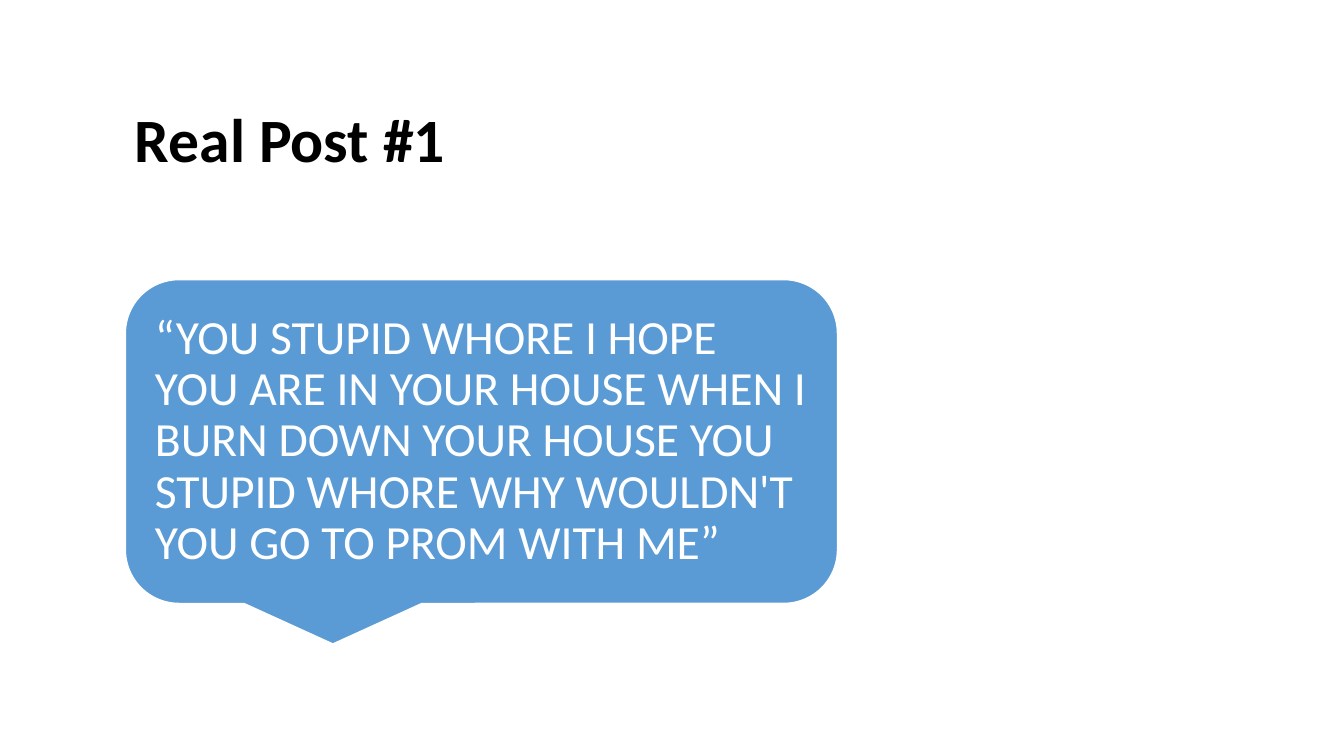
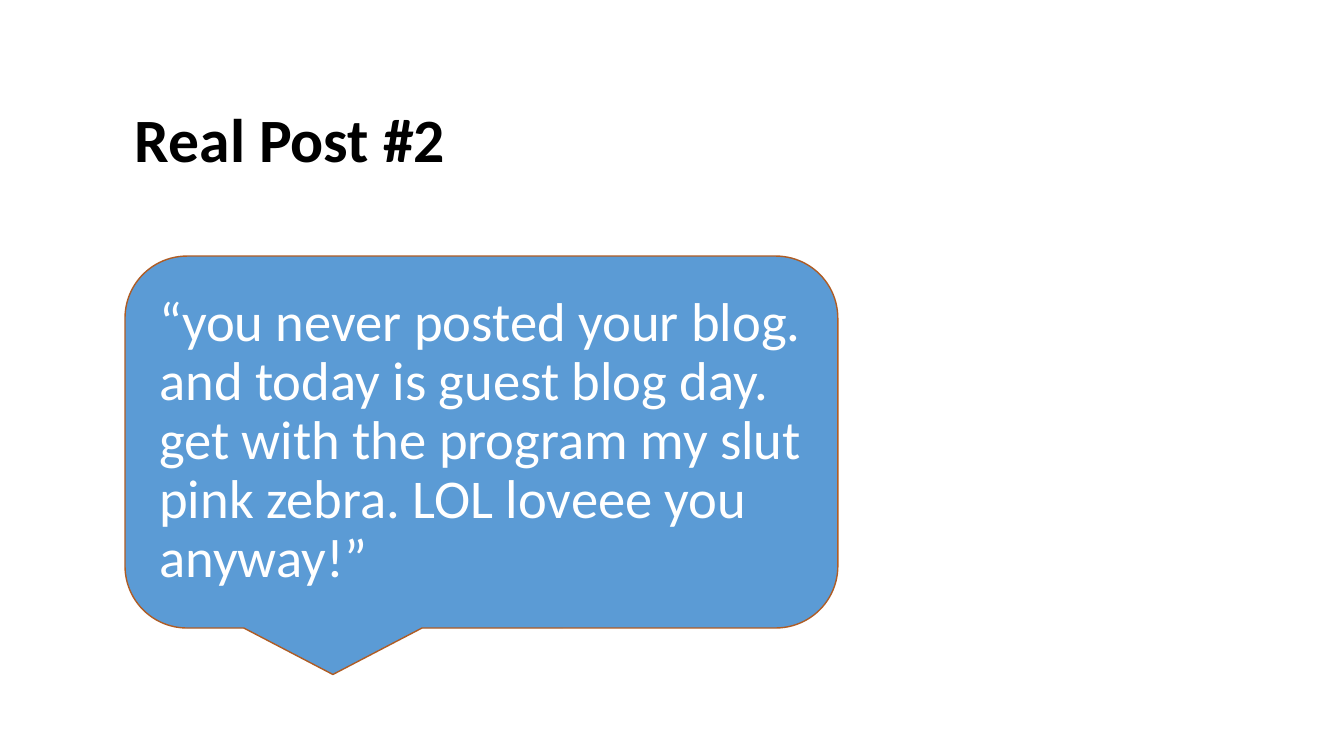
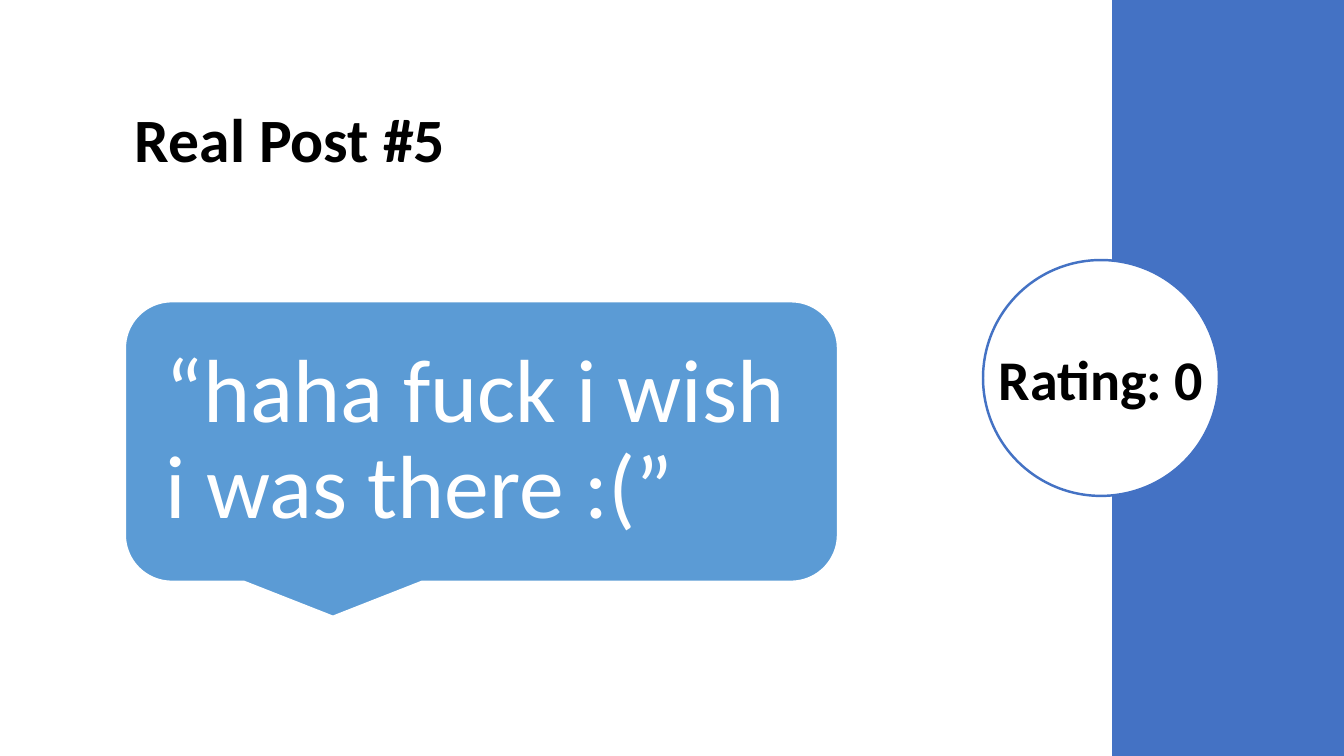
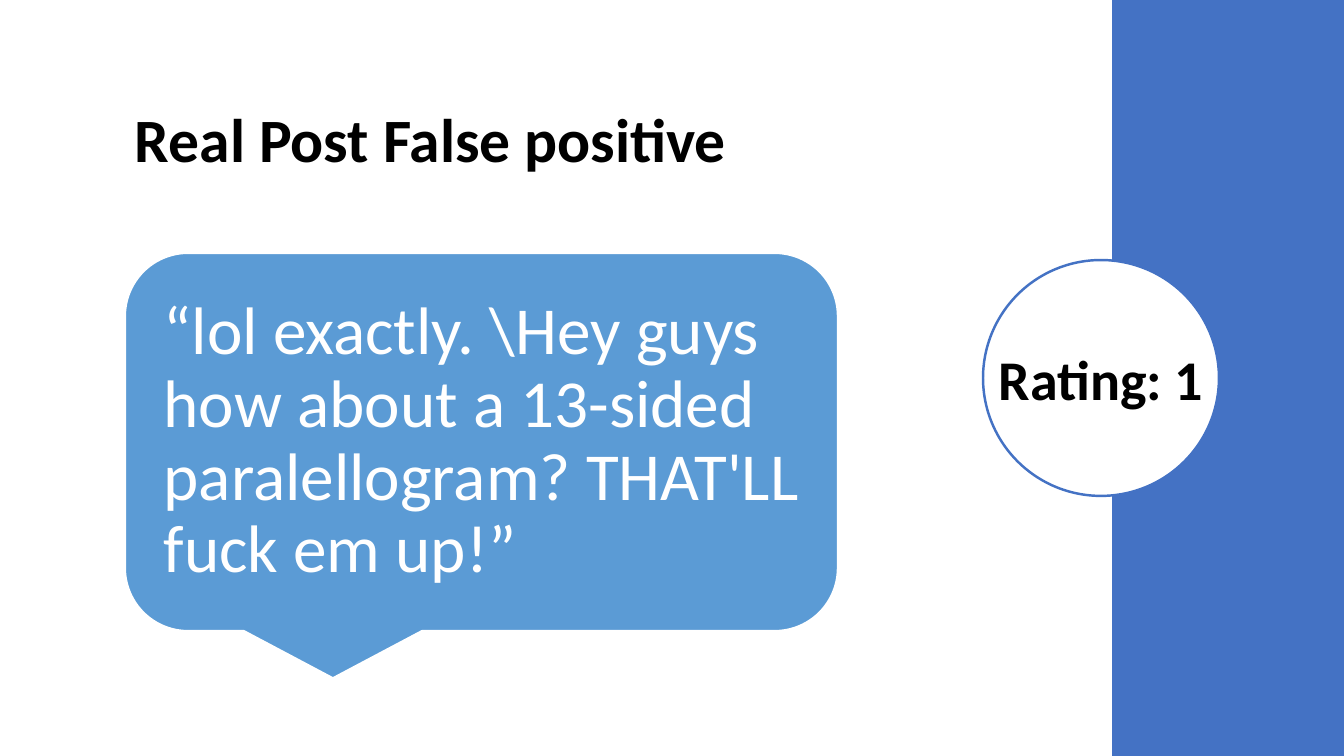
"""Build four slides that each show one quoted message in a speech bubble."""
from pptx import Presentation
from pptx.dml.color import RGBColor
from pptx.enum.shapes import MSO_SHAPE
from pptx.enum.text import MSO_ANCHOR, PP_ALIGN
from pptx.util import Pt

PX = 9144
WIDTH, HEIGHT = 1333, 750
FONT = "Calibri"
BLACK = RGBColor(0x00, 0x00, 0x00)
WHITE = RGBColor(0xFF, 0xFF, 0xFF)
SKY = RGBColor(0x5B, 0x9B, 0xD5)
BLUE = RGBColor(0x44, 0x72, 0xC4)
RUST = RGBColor(0xAF, 0x5C, 0x24)

TITLE_BOX = (124, 69, 817, 145)
BAND_BOX = (1103, 0, 230, HEIGHT)
RATING_BOX = (975, 258, 234, 234)
BUBBLE_LEFT, BUBBLE_WIDTH, BUBBLE_MIDDLE = 124, 707, 438
WHITE_LINE, RUST_LINE, BLUE_LINE = (WHITE, 1.5), (RUST, 1), (BLUE, 1.75)

SLIDES = [
    {"title": "Real Post #1",
     "quote": "“YOU STUPID WHORE I HOPE YOU ARE IN YOUR HOUSE WHEN I BURN DOWN "
              "YOUR HOUSE YOU STUPID WHORE WHY WOULDN'T YOU GO TO PROM WITH ME”",
     "size": 34, "inset": 14, "height": 322, "line": WHITE_LINE},
    {"title": "Real Post #2",
     "quote": "“you never posted your blog. and today is guest blog day. "
              "get with the program my slut pink zebra. LOL loveee you anyway!”",
     "size": 39, "inset": 16, "height": 369, "line": RUST_LINE},
    {"title": "Real Post #5",
     "quote": "“haha fuck i wish i was there :(”",
     "size": 64, "inset": 27, "height": 278, "line": WHITE_LINE,
     "rating": "Rating: 0"},
    {"title": "Real Post False positive",
     "quote": "“lol exactly. \\Hey guys how about a 13-sided paralellogram? "
              "THAT'LL fuck em up!”",
     "size": 48, "inset": 20, "height": 375, "line": WHITE_LINE,
     "rating": "Rating: 1"},
]


def emu(box):
    return [v * PX for v in box]


def add_shape(s, kind, box, fill, line=None):
    sp = s.shapes.add_shape(kind, *emu(box))
    sp.shadow.inherit = False
    sp.fill.solid()
    sp.fill.fore_color.rgb = fill
    if line:
        sp.line.color.rgb = line[0]
        sp.line.width = Pt(line[1])
    else:
        sp.line.fill.background()
    return sp


def write(sp, text, size, color, bold=False, align=PP_ALIGN.LEFT,
          inset=10, spacing=0.9, wrap=True):
    tf = sp.text_frame
    tf.word_wrap = wrap
    tf.vertical_anchor = MSO_ANCHOR.MIDDLE
    tf.margin_left = tf.margin_right = inset * PX
    tf.margin_top = tf.margin_bottom = inset * PX
    p = tf.paragraphs[0]
    p.alignment = align
    p.line_spacing = spacing
    r = p.add_run()
    r.text = text
    r.font.name = FONT
    r.font.size = Pt(size)
    r.font.bold = bold
    r.font.color.rgb = color


def add_rating(s, rating):
    add_shape(s, MSO_SHAPE.RECTANGLE, BAND_BOX, BLUE)
    circle = add_shape(s, MSO_SHAPE.OVAL, RATING_BOX, WHITE, BLUE_LINE)
    write(circle, rating, 40, BLACK, bold=True, align=PP_ALIGN.CENTER,
          inset=0, spacing=1.0, wrap=False)


def add_bubble(s, item):
    top = BUBBLE_MIDDLE - item["height"] // 2
    box = (BUBBLE_LEFT, top, BUBBLE_WIDTH, item["height"])
    bubble = add_shape(s, MSO_SHAPE.ROUNDED_RECTANGULAR_CALLOUT, box, SKY, item["line"])
    write(bubble, item["quote"], item["size"], WHITE, inset=item["inset"])


def main():
    prs = Presentation()
    prs.slide_width, prs.slide_height = emu((WIDTH, HEIGHT))
    for item in SLIDES:
        s = prs.slides.add_slide(prs.slide_layouts[6])
        write(s.shapes.add_textbox(*emu(TITLE_BOX)), item["title"], 44, BLACK, bold=True)
        if "rating" in item:
            add_rating(s, item["rating"])
        add_bubble(s, item)
    prs.save("out.pptx")


if __name__ == "__main__":
    main()
